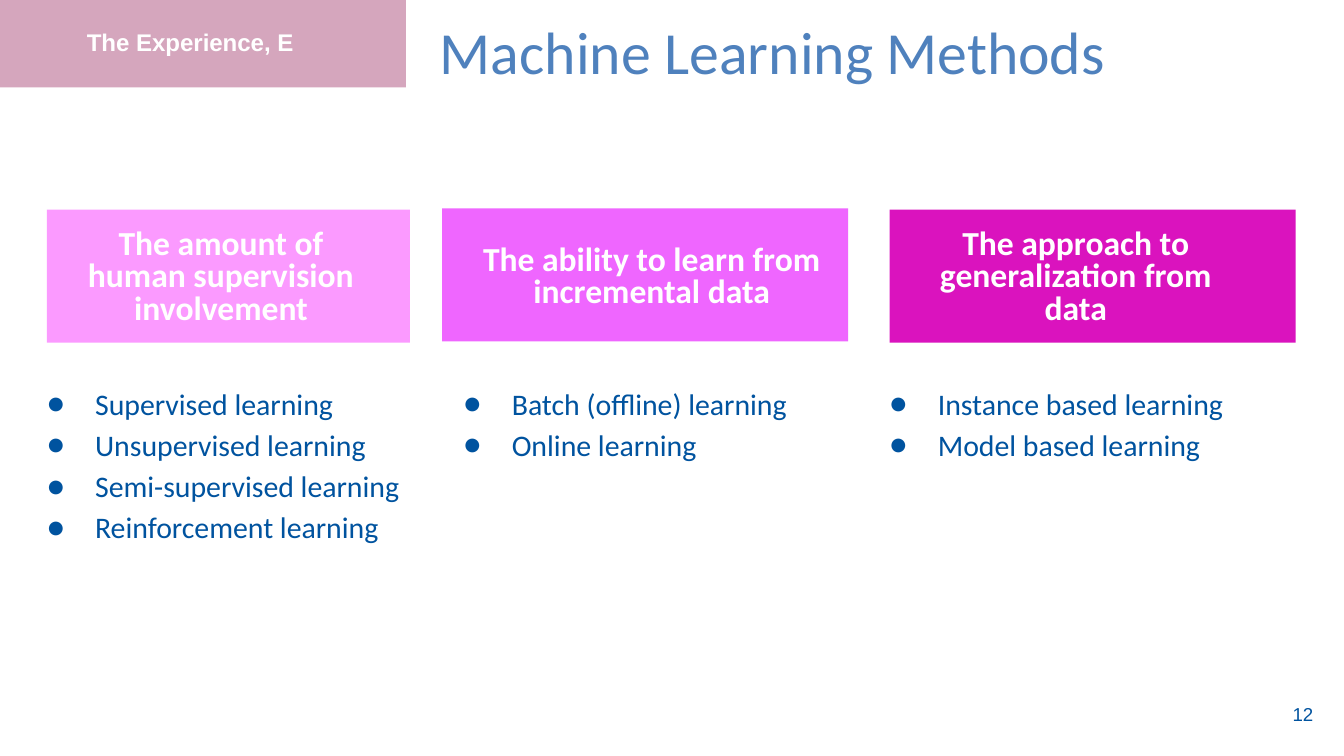
from pptx import Presentation
from pptx.dml.color import RGBColor
from pptx.enum.shapes import MSO_SHAPE
from pptx.enum.text import MSO_ANCHOR, PP_ALIGN
from pptx.util import Inches, Pt
from lxml.etree import SubElement
from pptx.oxml.ns import qn

# Content
TITLE = "Machine Learning Methods"
TAG = "The Experience, E"
PAGE = "12"
COLS = [
    dict(head="The amount of human supervision involvement", fill="pink",
         items=["Supervised learning", "Unsupervised learning",
                "Semi-supervised learning", "Reinforcement learning"],
         kind=MSO_SHAPE.PENTAGON, top=1.56,
         band=(0.35, 2.7), label=(0.41, 2.47), list=(0.11, 3.26)),
    dict(head="The ability to learn from incremental data", fill="violet",
         items=["Batch (offline) learning", "Online learning"],
         kind=MSO_SHAPE.CHEVRON, top=1.55,
         band=(3.29, 3.02), label=(3.26, 3.18), list=(3.21, 3.18)),
    dict(head="The approach to generalization from data", fill="magenta",
         items=["Instance based learning", "Model based learning"],
         kind=MSO_SHAPE.CHEVRON, top=1.56,
         band=(6.62, 3.02), label=(6.77, 2.47), list=(6.38, 3.5)),
]
HEX = dict(title="4F81BD", text="00539F", white="FFFFFF", tag="D5A6BD",
           pink="FB9AFF", violet="EF66FF", magenta="DA13BE")

# Rows: top and height
LABEL, LIST = (1.9, 0.34), (2.73, 2.9)
TALL = 0.99

# Slide, 16:9
deck = Presentation()
deck.slide_width = Inches(10)
deck.slide_height = deck.slide_width * 9 // 16
slide = deck.slides.add_slide(deck.slide_layouts[6])


def place(col, row):
    return [Inches(n) for n in (col[0], row[0], col[1], row[1])]


def add_band(kind, col, row, fill):
    band = slide.shapes.add_shape(kind, *place(col, row))
    band.adjustments[0] = 0
    band.shadow.inherit = False
    band.fill.solid()
    band.fill.fore_color.rgb = RGBColor.from_string(HEX[fill])
    band.line.fill.background()


def add_text(lines, col, row, size, color, font="Calibri", bold=False,
             align=PP_ALIGN.CENTER, anchor=MSO_ANCHOR.MIDDLE, space=1.0,
             dots=False):
    frame = slide.shapes.add_textbox(*place(col, row)).text_frame
    frame.word_wrap = True
    frame.vertical_anchor = anchor
    frame.margin_left = frame.margin_right = Inches(0.1)
    frame.margin_top = frame.margin_bottom = Inches(0.1)
    frame.text = "\n".join(lines)
    for para in frame.paragraphs:
        para.alignment = align
        para.line_spacing = space
        if dots:
            props = para._p.get_or_add_pPr()
            props.set("marL", str(Inches(0.5)))
            props.set("indent", str(Inches(-0.36)))
            SubElement(props, qn("a:buFont")).set("typeface", font)
            SubElement(props, qn("a:buChar")).set("char", "●")
        for run in para.runs:
            run.font.name = font
            run.font.size = Pt(size)
            run.font.bold = bold
            run.font.color.rgb = RGBColor.from_string(HEX[color])


# Title
add_text([TITLE], (1.09, 9.32), (0.01, 0.66), 32, "title",
         anchor=MSO_ANCHOR.TOP)

# Columns
for col in COLS:
    add_band(col["kind"], col["band"], (col["top"], TALL), col["fill"])
    add_text([col["head"]], col["label"], LABEL, 18, "white", bold=True,
             space=0.8)
    add_text(col["items"], col["list"], LIST, 16, "text",
             align=PP_ALIGN.LEFT, anchor=MSO_ANCHOR.TOP, space=1.15,
             dots=True)

# Page number
add_text([PAGE], (9.27, 0.6), (5.1, 0.43), 10, "text", "Arial",
         align=PP_ALIGN.RIGHT)

# Corner tag
add_band(MSO_SHAPE.CHEVRON, (0, 3.02), (-0.01, 0.66), "tag")
add_text([TAG], (-0.07, 2.97), (0.16, 0.34), 12.9, "white", "Arial",
         bold=True, space=0.8)

deck.save("out.pptx")
